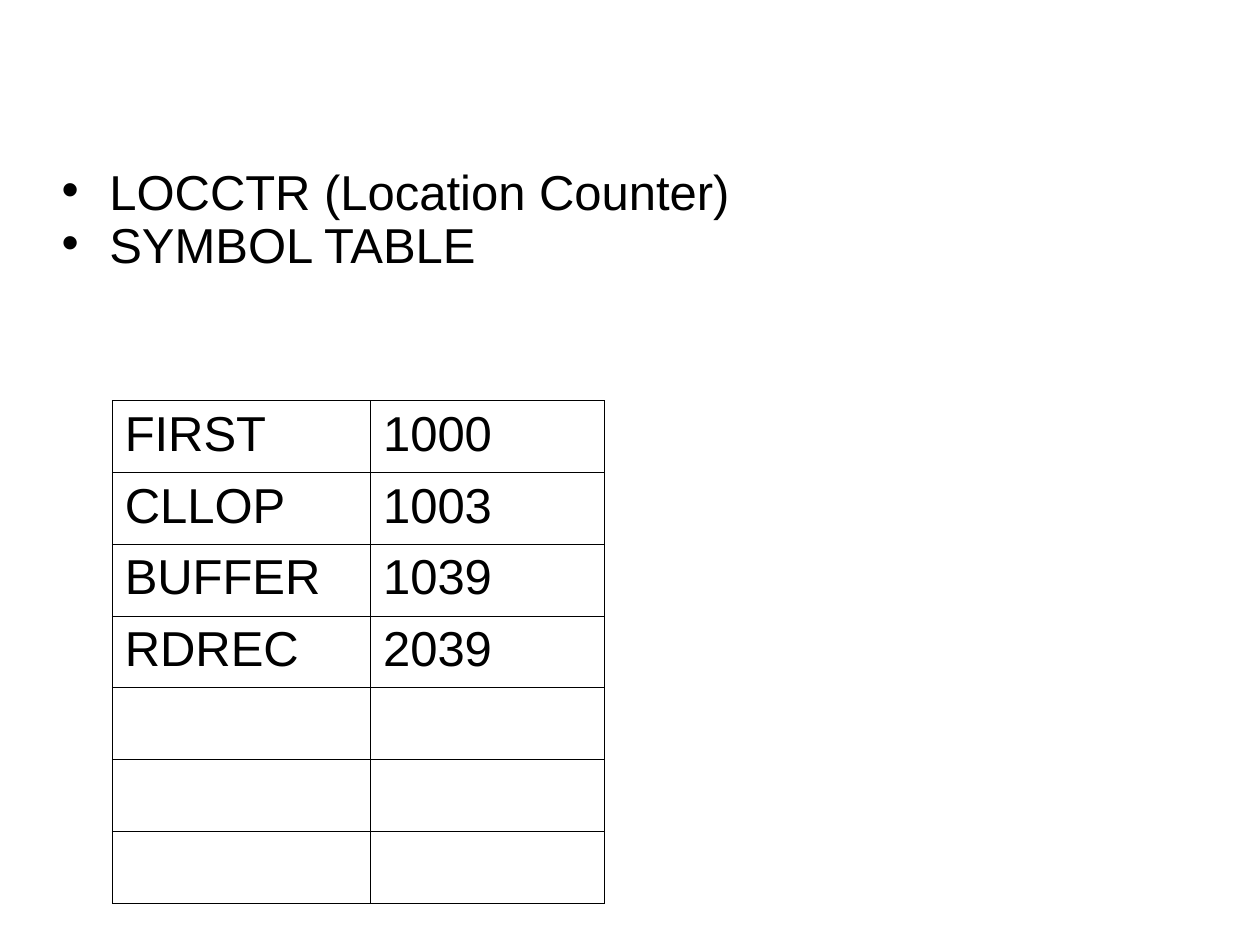
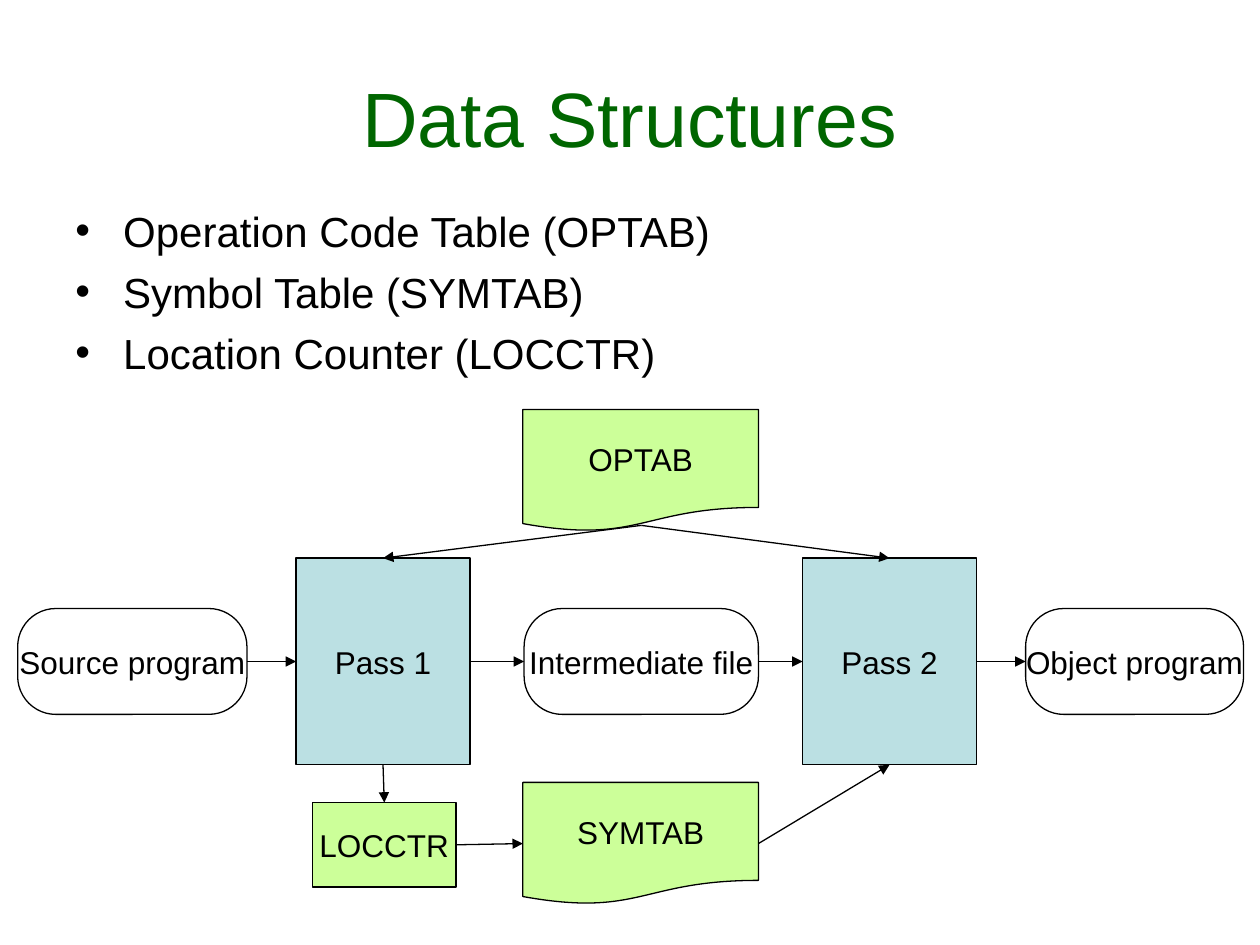
from lxml import etree
from pptx import Presentation
from pptx import util as u
from pptx.dml.color import RGBColor
from pptx.enum import shapes, text
from pptx.oxml.ns import qn

PX = 9144  # EMU in one px, 100 px to the inch
FONT = "Arial"
COLORS = {"ink": "000000", "title": "006600", "pass": "BBE0E3", "data": "CCFF99"}
KIND = shapes.MSO_SHAPE
TOP, LEFT, BOTTOM, RIGHT = range(4)


def px(*lengths):
    return [u.Emu(length * PX) for length in lengths]


def color(name):
    return RGBColor.from_string(COLORS[name])


def write(frame, lines, size=18, ink="ink", align=text.PP_ALIGN.LEFT,
          anchor=text.MSO_ANCHOR.TOP, wrap=True, bullet=False, gap=0, spacing=None):
    """Fill a text frame with one paragraph for each line."""
    frame.word_wrap = wrap
    frame.vertical_anchor = anchor
    for index, line in enumerate(lines):
        para = frame.paragraphs[0] if index == 0 else frame.add_paragraph()
        para.alignment = align
        if spacing:
            para.line_spacing = spacing
        if index:
            para.space_before = u.Pt(gap)
        if bullet:
            props = para._p.get_or_add_pPr()
            indent = 38 * PX
            props.set("marL", str(indent))
            props.set("indent", str(-indent))
            etree.SubElement(props, qn("a:buFont")).set("typeface", FONT)
            etree.SubElement(props, qn("a:buChar")).set("char", "•")
        span = para.add_run()
        span.text = line
        span.font.name = FONT
        span.font.size = u.Pt(size)
        span.font.color.rgb = color(ink)


class Painter:
    """Holds the deck, its style and the current slide."""

    def __init__(self):
        self.deck = Presentation()
        self.deck.slide_width, self.deck.slide_height = px(1000, 750)
        self.page = None

    def new_page(self):
        self.page = self.deck.slides.add_slide(self.deck.slide_layouts[6])

    def text_box(self, place, lines, **style):
        box = self.page.shapes.add_textbox(*px(*place))
        write(box.text_frame, lines, **style)

    def title(self, line):
        self.text_box((50, 30, 900, 125), [line], size=44, ink="title",
                      align=text.PP_ALIGN.CENTER, anchor=text.MSO_ANCHOR.MIDDLE)

    def node(self, kind, place, label, fill=None):
        shape = self.page.shapes.add_shape(kind, *px(*place))
        shape.shadow.inherit = False
        if fill:
            shape.fill.solid()
            shape.fill.fore_color.rgb = color(fill)
        else:
            shape.fill.background()
        if kind == KIND.ROUNDED_RECTANGLE:
            shape.adjustments[0] = 0.36
        self.outline(shape)
        write(shape.text_frame, [label], align=text.PP_ALIGN.CENTER,
              anchor=text.MSO_ANCHOR.MIDDLE, wrap=False)
        return shape

    def outline(self, shape):
        shape.line.color.rgb = color("ink")
        shape.line.width = u.Pt(0.75)

    def arrow(self, target, side, source=None, source_side=RIGHT, start=(0, 0)):
        """Point at a side of target, from a side of source or a free start."""
        line = self.page.shapes.add_connector(
            shapes.MSO_CONNECTOR.STRAIGHT, *px(*start, *start))
        if source is not None:
            line.begin_connect(source, source_side)
        line.end_connect(target, side)
        self.outline(line)
        etree.SubElement(line.line._get_or_add_ln(), qn("a:tailEnd")).set("type", "triangle")
        etree.SubElement(line._element.spPr, qn("a:effectLst"))

    def table(self, left, top, widths, row_height, rows):
        frame = self.page.shapes.add_table(
            len(rows), len(widths),
            *px(left, top, sum(widths), row_height * len(rows)))
        grid = frame.table
        grid.first_row = grid.horz_banding = False
        for column, width in zip(grid.columns, widths):
            column.width = width * PX
        for row, values in zip(grid.rows, rows):
            row.height = row_height * PX
            for cell, value in zip(row.cells, values):
                if value:
                    write(cell.text_frame, [value], size=28)
                self.cell_borders(cell)
                cell.fill.background()

    def cell_borders(self, cell):
        props = cell._tc.get_or_add_tcPr()
        for side in ("lnL", "lnR", "lnT", "lnB"):
            edge = etree.SubElement(props, qn("a:" + side), w=str(u.Pt(0.45)))
            fill = etree.SubElement(edge, qn("a:solidFill"))
            etree.SubElement(fill, qn("a:srgbClr")).set("val", COLORS["ink"])


def symbol_table_page(painter):
    painter.new_page()
    painter.text_box((39, 136, 900, 89), ["LOCCTR (Location Counter)", "SYMBOL TABLE"],
                     size=28, bullet=True, gap=7, spacing=0.7)
    symbols = [("FIRST", "1000"), ("CLLOP", "1003"), ("BUFFER", "1039"), ("RDREC", "2039")]
    painter.table(89, 318, (205, 186), 57, symbols + [("", "")] * 3)


def data_structures_page(painter):
    painter.new_page()
    painter.title("Data Structures")

    # Programs and passes in the middle row
    pass_1, pass_2 = [
        painter.node(KIND.RECTANGLE, (left, 443, 138, 164), label, "pass")
        for left, label in ((235, "Pass 1"), (637, "Pass 2"))]
    source, middle, result = [
        painter.node(KIND.ROUNDED_RECTANGLE, (left, 483, width, 84), label)
        for left, width, label in ((14, 182, "Source program"),
                                   (416, 186, "Intermediate file"),
                                   (814, 173, "Object program"))]

    # Tables and counter above and below
    _, symtab = [
        painter.node(KIND.FLOWCHART_DOCUMENT, (415, top, 187, 97), label, "data")
        for top, label in ((325, "OPTAB"), (621, "SYMTAB"))]
    locctr = painter.node(KIND.RECTANGLE, (248, 637, 114, 67), "LOCCTR", "data")

    # Flow
    chain = [source, pass_1, middle, pass_2, result]
    for before, after in list(zip(chain, chain[1:])) + [(locctr, symtab)]:
        painter.arrow(after, LEFT, before)
    painter.arrow(locctr, TOP, pass_1, BOTTOM)
    painter.arrow(pass_2, BOTTOM, symtab)
    for reader in (pass_1, pass_2):
        painter.arrow(reader, TOP, start=(509, 417))

    painter.text_box((50, 158, 900, 147),
                     ["Operation Code Table (OPTAB)", "Symbol Table (SYMTAB)",
                      "Location Counter (LOCCTR)"], size=24, bullet=True, gap=6)


def main():
    painter = Painter()
    symbol_table_page(painter)
    data_structures_page(painter)
    painter.deck.save("out.pptx")


if __name__ == "__main__":
    main()
